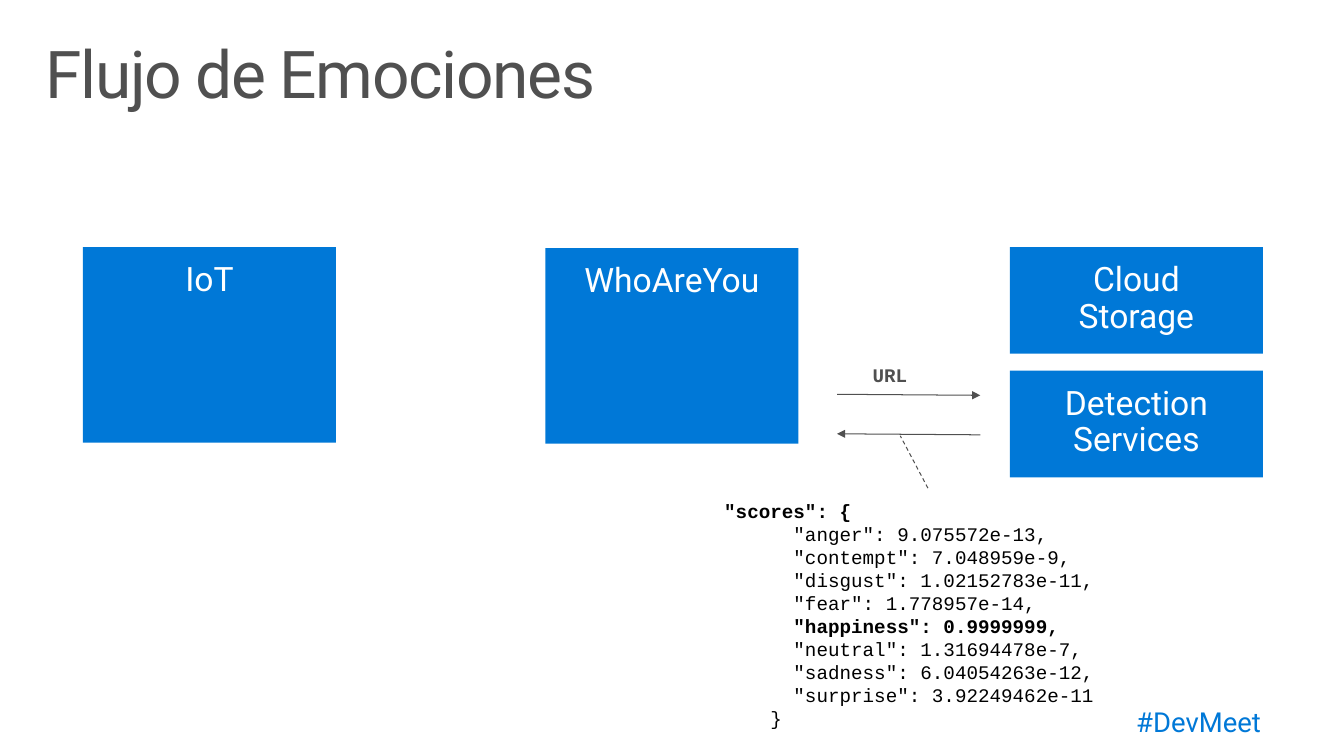
from pptx import Presentation
from pptx.dml.color import RGBColor
from pptx.enum.dml import MSO_LINE
from pptx.enum.shapes import MSO_CONNECTOR, MSO_SHAPE
from pptx.enum.text import MSO_ANCHOR, PP_ALIGN
from pptx.oxml.ns import qn
from pptx.util import Inches, Pt
from lxml import etree

STRAIGHT = MSO_CONNECTOR.STRAIGHT
RECTANGLE = MSO_SHAPE.RECTANGLE
TOP = MSO_ANCHOR.TOP
LEFT, CENTER, RIGHT = PP_ALIGN.LEFT, PP_ALIGN.CENTER, PP_ALIGN.RIGHT
DASH = MSO_LINE.DASH

BLUE, GRAY, WHITE, BLACK = "0078D7", "505050", "FFFFFF", "000000"
SANS, MONO = "Roboto", "Courier New"
WIDE_INSETS = (0.2, 0.16)
TITLE_INSETS = (0.16, 0.1)
CODE_INSETS = (0.1, 0.05)

BOX_WIDTH, TALL, SHORT = 2.56, 1.98, 1.08
BOXES = [
    (0.84, 2.5, TALL, ["IoT"]),
    (5.52, 2.51, TALL, ["WhoAreYou"]),
    (10.22, 2.5, SHORT, ["Cloud", "Storage"]),
    (10.22, 3.75, SHORT, ["Detection", "Services"]),
]
SCORES = [
    '"scores": {',
    '      "anger": 9.075572e-13,',
    '      "contempt": 7.048959e-9,',
    '      "disgust": 1.02152783e-11,',
    '      "fear": 1.778957e-14,',
    '      "happiness": 0.9999999,',
    '      "neutral": 1.31694478e-7,',
    '      "sadness": 6.04054263e-12,',
    '      "surprise": 3.92249462e-11',
    '    }',
]
BOLD_SCORES = {0, 5}


def color(hex_string):
    return RGBColor.from_string(hex_string)


def write_lines(shape, lines, size, font, hex_color, align=LEFT,
                insets=WIDE_INSETS, spacing=0.9, bold=(), tracking=0):
    """Write one paragraph per line; bold holds the indexes of bold lines."""
    frame = shape.text_frame
    frame.word_wrap = True
    frame.vertical_anchor = TOP
    frame.margin_left = frame.margin_right = Inches(insets[0])
    frame.margin_top = frame.margin_bottom = Inches(insets[1])
    for index, line in enumerate(lines):
        paragraph = frame.add_paragraph() if index else frame.paragraphs[0]
        paragraph.alignment = align
        paragraph.line_spacing = spacing
        run = paragraph.add_run()
        run.text = line
        run.font.size = Pt(size)
        run.font.name = font
        run.font.bold = index in bold
        run.font.color.rgb = color(hex_color)
        if tracking:
            run.font._element.set("spc", str(tracking))


def add_text(slide, left, top, width, height, lines, *style, **options):
    shape = slide.shapes.add_textbox(
        Inches(left), Inches(top), Inches(width), Inches(height))
    write_lines(shape, lines, *style, **options)


def add_box(slide, left, top, height, lines):
    shape = slide.shapes.add_shape(
        RECTANGLE, Inches(left), Inches(top), Inches(BOX_WIDTH), Inches(height))
    shape.shadow.inherit = False
    shape.fill.solid()
    shape.fill.fore_color.rgb = color(BLUE)
    shape.line.fill.background()
    write_lines(shape, lines, 24.5, SANS, WHITE, CENTER)


def add_line(slide, start, end, arrow_end=None, dash=None):
    """Draw a thin line; arrow_end is headEnd (start) or tailEnd (end)."""
    connector = slide.shapes.add_connector(
        STRAIGHT, *(Inches(value) for value in start + end))
    connector.line.color.rgb = color(GRAY)
    connector.line.width = Pt(0.75)
    if dash:
        connector.line.dash_style = dash
    if arrow_end:
        line = connector.line._get_or_add_ln()
        etree.SubElement(line, qn(f"a:{arrow_end}"), type="triangle")
    etree.SubElement(connector._element.spPr, qn("a:effectLst"))


def main():
    presentation = Presentation()
    presentation.slide_width = Inches(13.6)
    presentation.slide_height = Inches(7.65)
    slide = presentation.slides.add_slide(presentation.slide_layouts[6])

    add_text(slide, 8.97, 7.02, 3.99, 0.63, ["#DevMeet"], 20, SANS, BLUE, RIGHT)
    add_text(slide, 0.3, 0.32, 13, 1, ["Flujo de Emociones"], 48, SANS, GRAY,
             insets=TITLE_INSETS, tracking=-100)
    for box in BOXES:
        add_box(slide, *box)

    add_line(slide, (8.47, 3.99), (9.92, 4), "tailEnd")
    add_line(slide, (8.47, 4.39), (9.92, 4.4), "headEnd")
    add_line(slide, (9.39, 4.94), (9.11, 4.41), dash=DASH)

    add_text(slide, 8.63, 3.6, 1.57, 0.54, ["URL"], 14, MONO, GRAY, bold={0})
    add_text(slide, 7.23, 5, 4.38, 2.46, SCORES, 14, MONO, BLACK,
             insets=CODE_INSETS, spacing=1.0, bold=BOLD_SCORES)
    presentation.save("out.pptx")


if __name__ == "__main__":
    main()
